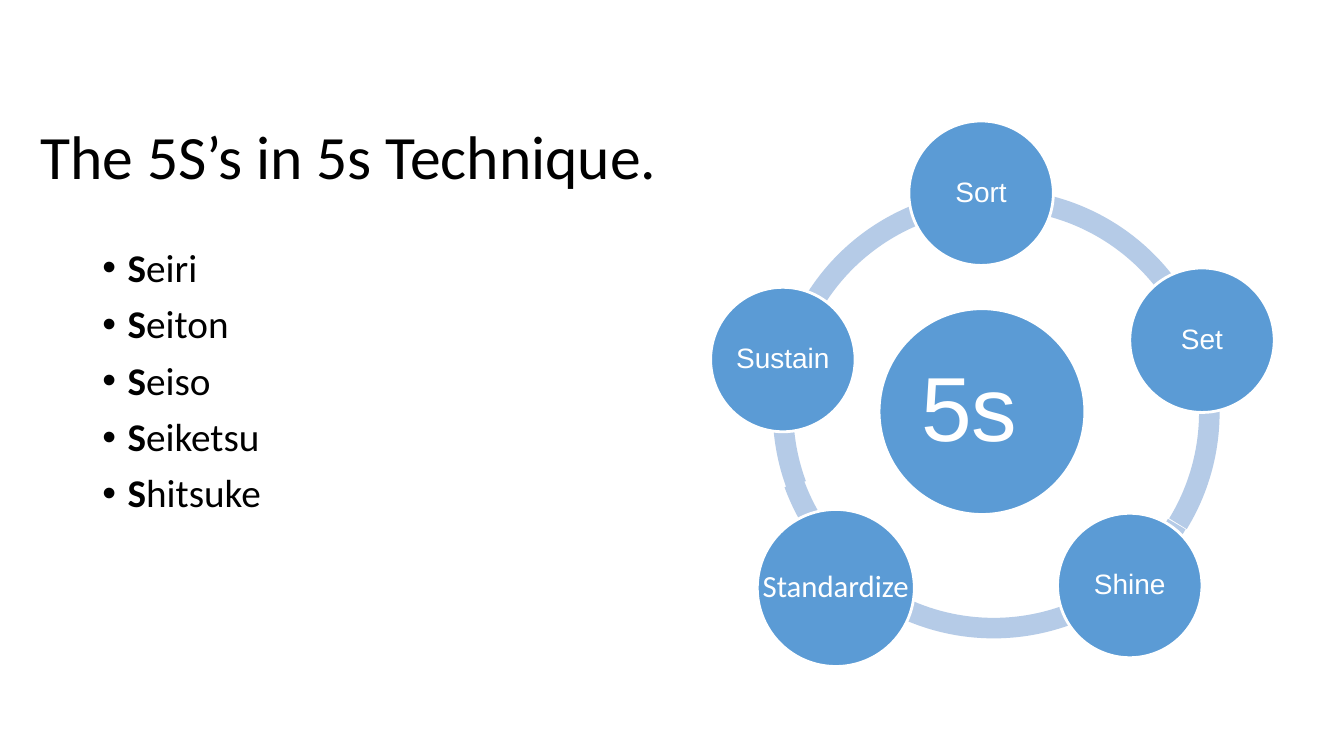
import pptx
import pptx.dml.color
import pptx.enum.shapes
import pptx.enum.text
import pptx.oxml
import pptx.util
import lxml.etree

RGBColor = pptx.dml.color.RGBColor
Shape = pptx.enum.shapes.MSO_SHAPE
Align = pptx.enum.text.PP_ALIGN
Anchor = pptx.enum.text.MSO_ANCHOR

BLACK = RGBColor(0x00, 0x00, 0x00)
WHITE = RGBColor(0xFF, 0xFF, 0xFF)
NODE_BLUE = RGBColor(0x5B, 0x9B, 0xD5)
RING_BLUE = RGBColor(0xB5, 0xCB, 0xE7)

COLUMNS, ROWS = 16, 9
RING_SIZE, RING_THICKNESS = 5.32, 0.046
NODE_SIZE = 1.72
DEGREE = 60000 / 100000

JAPANESE_TERMS = ["Seiri", "Seiton", "Seiso", "Seiketsu", "Shitsuke"]
RING_ARCS = [
    (11.84, 4.89, 116.17, 159.98),
    (11.83, 4.94, 30.81, 116.84),
    (11.86, 4.91, 204.33, 31.47),
    (11.86, 4.89, 159.71, 204.61),
]
STEPS = [
    ("Sort", 11.68, 2.3),
    ("Set", 14.31, 4.05),
    ("Shine", 13.45, 6.97),
    ("Sustain", 9.32, 4.28),
]


class SlideBuilder:
    def __init__(self, deck):
        self.page = deck.slides.add_slide(deck.slide_layouts[1])
        self.column = deck.slide_width / COLUMNS
        self.row = deck.slide_height / ROWS

    def cells(self, left, top, width, height):
        return (int(left * self.column), int(top * self.row),
                int(width * self.column), int(height * self.row))

    def place(self, box, area, anchor):
        box.left, box.top, box.width, box.height = self.cells(*area)
        frame = box.text_frame
        frame.word_wrap = True
        frame.auto_size = pptx.enum.text.MSO_AUTO_SIZE.NONE
        frame.vertical_anchor = anchor
        return frame

    def span(self, para, text, size, color, font="Calibri", bold=False):
        span = para.add_run()
        span.text = text
        span.font.name = font
        span.font.size = pptx.util.Pt(size)
        span.font.bold = bold
        span.font.color.rgb = color

    def title(self, text, area):
        frame = self.place(self.page.shapes.title, area, Anchor.MIDDLE)
        para = frame.paragraphs[0]
        para.alignment = Align.LEFT
        para.line_spacing = 0.9
        self.span(para, text, 44, BLACK)

    def bullets(self, terms, area):
        frame = self.place(self.page.placeholders[1], area, Anchor.TOP)
        frame.margin_top = int(0.56 * self.row)
        for index, term in enumerate(terms):
            para = frame.add_paragraph() if index else frame.paragraphs[0]
            para.line_spacing = 0.9
            para.space_before = pptx.util.Pt(10 if index else 0)
            properties = para._p.get_or_add_pPr()
            indent = int(0.3 * self.column)
            properties.set("marL", str(indent))
            properties.set("indent", str(-indent))
            font = lxml.etree.SubElement(properties, pptx.oxml.ns.qn("a:buFont"))
            font.set("typeface", "Arial")
            bullet = lxml.etree.SubElement(properties, pptx.oxml.ns.qn("a:buChar"))
            bullet.set("char", "•")
            self.span(para, term[0], 28, BLACK, bold=True)
            self.span(para, term[1:], 28, BLACK)

    def centered(self, kind, center_x, center_y, size, color):
        area = (center_x - size / 2, center_y - size / 2, size, size)
        shape = self.page.shapes.add_shape(kind, *self.cells(*area))
        shape.shadow.inherit = False
        shape.fill.solid()
        shape.fill.fore_color.rgb = color
        shape.line.fill.background()
        return shape

    def arc(self, center_x, center_y, start, end):
        arc = self.centered(Shape.BLOCK_ARC, center_x, center_y, RING_SIZE, RING_BLUE)
        for index, value in enumerate((start * DEGREE, end * DEGREE, RING_THICKNESS)):
            arc.adjustments[index] = value

    def node(self, text, center_x, center_y, diameter=NODE_SIZE,
             size=20, font="Arial", inset=0.04, wrap=True):
        node = self.centered(Shape.OVAL, center_x, center_y, diameter, NODE_BLUE)
        node.line.color.rgb = WHITE
        node.line.width = pptx.util.Pt(2)
        frame = node.text_frame
        frame.word_wrap = wrap
        frame.vertical_anchor = Anchor.MIDDLE
        frame.margin_left = frame.margin_right = int(inset * self.column)
        frame.margin_top = frame.margin_bottom = int(inset * self.row)
        para = frame.paragraphs[0]
        para.alignment = Align.CENTER
        para.line_spacing = 0.9
        self.span(para, text, size, WHITE, font)


def main():
    deck = pptx.Presentation()
    deck.slide_width = pptx.util.Inches(13.33)
    deck.slide_height = pptx.util.Inches(7.5)
    builder = SlideBuilder(deck)
    builder.title("The 5S’s in 5s Technique.", (0.36, 1.03, 10.06, 1.74))
    builder.bullets(JAPANESE_TERMS, (1.1, 2.4, 13.8, 5.71))
    for arc in RING_ARCS:
        builder.arc(*arc)
    builder.node("5s ", 11.69, 4.9, diameter=2.45, size=65, inset=0.11)
    for step in STEPS:
        builder.node(*step)
    builder.node("Standardize", 9.95, 7, diameter=1.87, size=22,
                 font="Calibri", wrap=False)
    deck.save("out.pptx")


if __name__ == "__main__":
    main()
